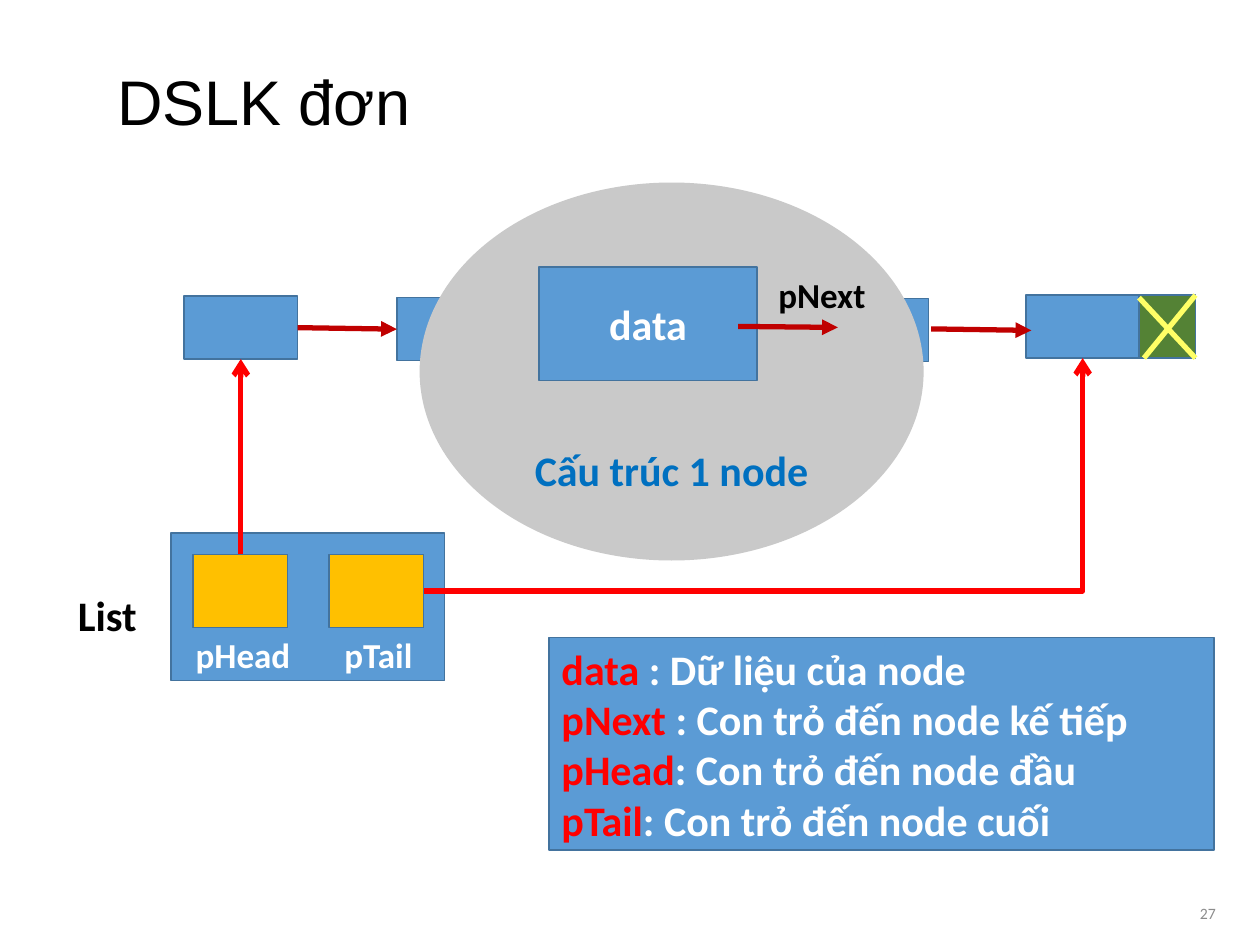
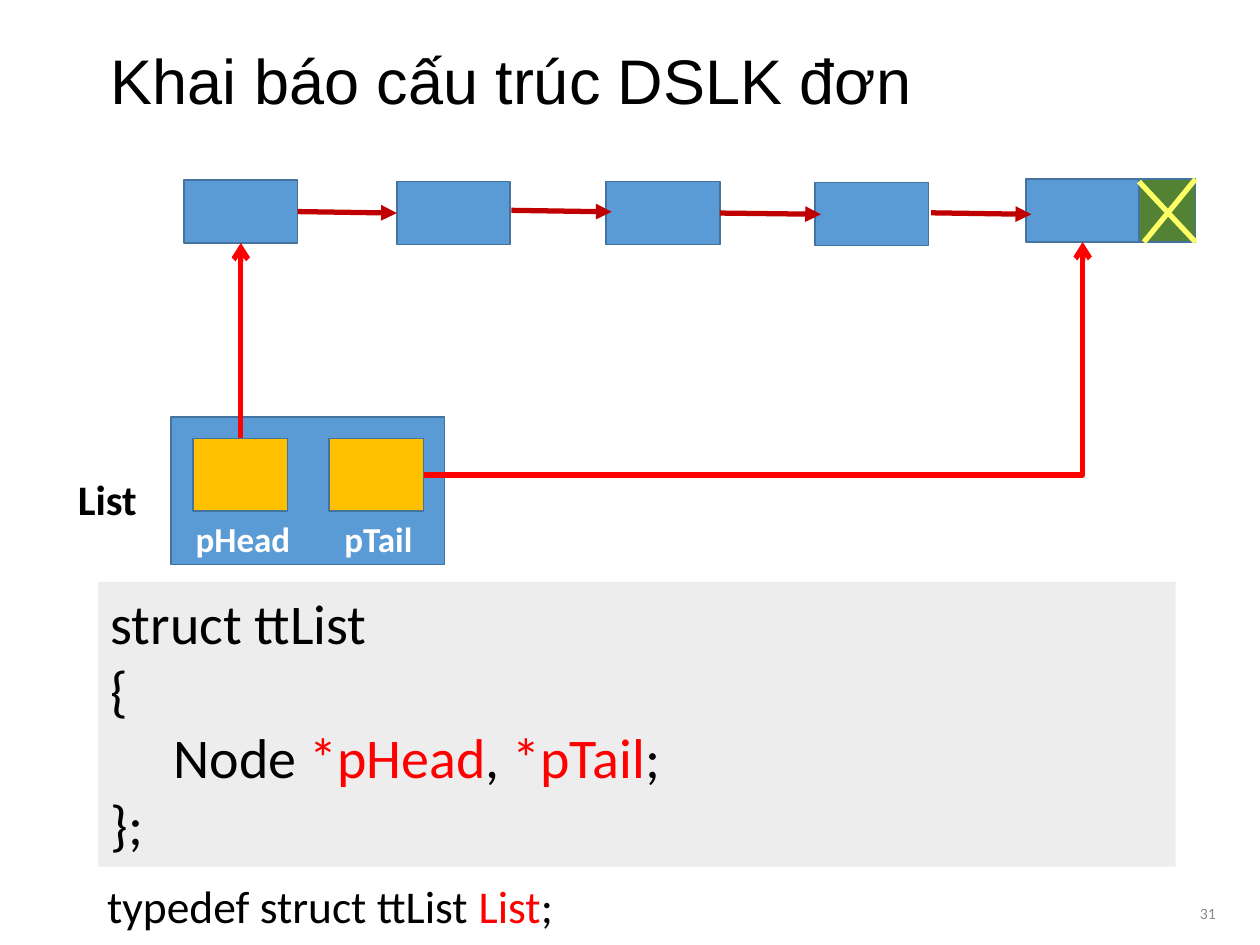
from dataclasses import dataclass

from lxml import etree
from pptx import Presentation
from pptx import util as u
from pptx.dml import color as c
from pptx.enum import shapes, text
from pptx.oxml import ns

Cm = u.Cm
TOP, LEFT, BOTTOM, RIGHT = range(4)


@dataclass(frozen=True)
class Theme:
    blue: str = "5B9BD5"
    outline: str = "43739E"
    gold: str = "FFC000"
    green: str = "548235"
    yellow: str = "FFFF66"
    red: str = "FF0000"
    dark_red: str = "C00000"
    caption: str = "0070C0"
    silver: str = "C9C9C9"
    code_fill: str = "EDEDED"
    black: str = "000000"
    white: str = "FFFFFF"
    grey: str = "8C8C8C"
    title_font: str = "Arial"
    body_font: str = "Calibri"
    title_size: int = 36
    code_size: int = 32
    typedef_size: int = 26
    body_size: int = 24
    label_size: int = 20
    number_size: int = 9


THEME = Theme()
ALIGN = text.PP_ALIGN
ANCHOR = text.MSO_ANCHOR


def rgb(value):
    return c.RGBColor.from_string(value)


def write_text(shape, paragraphs, size=THEME.body_size, color=THEME.black, bold=False,
               font=THEME.body_font, align=ALIGN.LEFT, anchor=ANCHOR.TOP, wrap=True):
    frame = shape.text_frame
    frame.word_wrap = wrap
    frame.vertical_anchor = anchor
    for index, runs in enumerate(paragraphs):
        paragraph = frame.paragraphs[0] if index == 0 else frame.add_paragraph()
        paragraph.alignment = align
        for words, run_color in runs:
            run = paragraph.add_run()
            run.text = words
            run.font.name = font
            run.font.size = u.Pt(size)
            run.font.bold = bold
            run.font.color.rgb = rgb(run_color or color)


class Deck:
    def __init__(self, theme):
        self.theme = theme
        self.presentation = Presentation()
        self.presentation.slide_width = Cm(25.4)
        self.presentation.slide_height = Cm(19.05)
        self.slide = None

    def new_slide(self, title, title_box, number):
        theme = self.theme
        self.slide = self.presentation.slides.add_slide(self.presentation.slide_layouts[6])
        self.label(title_box, title, size=theme.title_size, font=theme.title_font,
                   anchor=ANCHOR.MIDDLE, wrap=True)
        self.label((19.48, 17.78, 5.28, 1.27), number, size=theme.number_size,
                   color=theme.grey, align=ALIGN.RIGHT, anchor=ANCHOR.MIDDLE, wrap=True)

    def label(self, box, words, wrap=False, **style):
        shape = self.slide.shapes.add_textbox(*map(Cm, box))
        runs = [(words, None)] if isinstance(words, str) else words
        write_text(shape, [runs], wrap=wrap, **style)
        return shape

    def block(self, box, fill, outline=True, kind=shapes.MSO_SHAPE.RECTANGLE):
        shape = self.slide.shapes.add_shape(kind, *map(Cm, box))
        shape.shadow.inherit = False
        shape.fill.solid()
        shape.fill.fore_color.rgb = rgb(fill)
        if outline:
            shape.line.color.rgb = rgb(self.theme.outline)
            shape.line.width = u.Pt(1)
        else:
            shape.line.fill.background()
        return shape

    def line(self, points, color, head=None, kind=shapes.MSO_CONNECTOR.STRAIGHT):
        connector = self.slide.shapes.add_connector(kind, *map(Cm, points))
        connector.line.color.rgb = rgb(color)
        connector.line.width = u.Pt(3)
        properties = connector._element.spPr
        if head:
            etree.SubElement(properties.find(ns.qn("a:ln")), ns.qn("a:tailEnd"), type=head)
        etree.SubElement(properties, ns.qn("a:effectLst"))
        return connector

    def elbow(self, start, start_side, end, end_side):
        connector = self.line((0, 0, 1, 1), self.theme.red, "arrow", shapes.MSO_CONNECTOR.ELBOW)
        connector.begin_connect(start, start_side)
        connector.end_connect(end, end_side)
        return connector

    def pointer_up(self, start, end):
        connector = self.elbow(start, TOP, end, BOTTOM)
        left, top, width, height = (connector.left, connector.top,
                                    connector.width, connector.height)
        connector.left = left + (width - height) // 2
        connector.top = top + (height - width) // 2
        connector.width, connector.height = height, width
        frame = connector._element.spPr.xfrm
        frame.flipH = True
        frame.flipV = True
        frame.rot = 90

    def pointer_corner(self, start, end):
        connector = self.elbow(start, RIGHT, end, BOTTOM)
        connector._element.spPr.find(ns.qn("a:prstGeom")).set("prst", "bentConnector2")

    def linked_list(self, drop=0, skipped=()):
        theme = self.theme
        places = [(3.71, 3.63), (8, 3.66), (12.22, 3.66), (16.43, 3.68), (20.68, 3.61)]
        nodes = {index: self.block((left, top + drop, 2.29, 1.27), theme.blue)
                 for index, (left, top) in enumerate(places) if index not in skipped}

        arrows = [(5.99, 4.27), (10.31, 4.24), (14.53, 4.29), (18.77, 4.29)]
        links = [self.line((left, top + drop, left + 2.02, top + drop + 0.03),
                           theme.dark_red, "triangle") for left, top in arrows]
        links[0].begin_connect(nodes[0], RIGHT)
        links[0].end_connect(nodes[1], LEFT)
        if 2 in nodes:
            links[2].begin_connect(nodes[2], RIGHT)

        self.block((3.45, 8.41 + drop, 5.51, 2.97), theme.blue)
        head, tail = [self.block((left, 8.84 + drop, 1.91, 1.47), theme.gold)
                      for left in (3.89, 6.63)]
        for words, left, width in (("pHead", 3.63, 2.54), ("pTail", 6.6, 2.06)):
            self.label((left, 10.31 + drop, width, 1.12), words, size=theme.label_size,
                       color=theme.white, bold=True, align=ALIGN.CENTER)
        self.label((1.32, 9.42 + drop, 1.93, 1.27), "List", bold=True)
        self.pointer_up(head, nodes[0])
        self.pointer_corner(tail, nodes[4])

        self.block((22.96, 3.61 + drop, 1.14, 1.27), theme.green)
        for left, top, right in ((24.1, 3.61, 23.06), (22.96, 3.66, 24.1)):
            self.line((left, top + drop, right, 4.88 + drop), theme.yellow)

    def node_structure(self):
        theme = self.theme
        lens = self.block((8.46, 3.68, 10.16, 7.62), theme.silver, False, shapes.MSO_SHAPE.OVAL)
        write_text(lens, [[("Cấu trúc 1 node", None)]], color=theme.caption, bold=True,
                   align=ALIGN.CENTER, anchor=ANCHOR.BOTTOM)
        lens.text_frame.margin_bottom = Cm(0.2)
        data = self.block((10.87, 5.38, 4.39, 2.29), theme.blue)
        write_text(data, [[("data", None)]], color=theme.white, bold=True,
                   align=ALIGN.CENTER, anchor=ANCHOR.MIDDLE)
        self.line((14.88, 6.58, 16.89, 6.6), theme.dark_red, "triangle")
        self.label((15.44, 5.38, 2.34, 1.12), "pNext", size=theme.label_size, bold=True)


def main():
    deck = Deck(THEME)
    red = THEME.red

    deck.new_slide("DSLK đơn", (2.11, 0.43, 22.02, 3.18), "27")
    deck.linked_list(drop=2.34, skipped=(2,))
    deck.node_structure()
    meanings = [
        ("data", " : Dữ liệu của node"),
        ("pNext", " : Con trỏ đến node kế tiếp"),
        ("pHead", ": Con trỏ đến node đầu"),
        ("pTail", ": Con trỏ đến node cuối"),
    ]
    legend = deck.block((11.07, 12.85, 13.41, 4.29), THEME.blue)
    write_text(legend, [[(term, red), (meaning, None)] for term, meaning in meanings],
               color=THEME.white, bold=True, anchor=ANCHOR.MIDDLE)

    deck.new_slide("Khai báo cấu trúc DSLK đơn", (1.98, 0, 22.56, 3.18), "31")
    code = deck.block((1.98, 11.73, 21.72, 5.74), THEME.code_fill, outline=False)
    write_text(code, [
        [("struct ttList", None)],
        [("{", None)],
        [("\tNode ", None), ("*pHead", red), (", ", None), ("*pTail", red), (";", None)],
        [("};", None)],
    ], size=THEME.code_size)
    deck.linked_list()
    deck.label((1.91, 17.58, 9.6, 1.37),
               [("typedef struct ttList ", None), ("List", red), (";", None)],
               size=THEME.typedef_size)

    deck.presentation.save("out.pptx")


if __name__ == "__main__":
    main()
